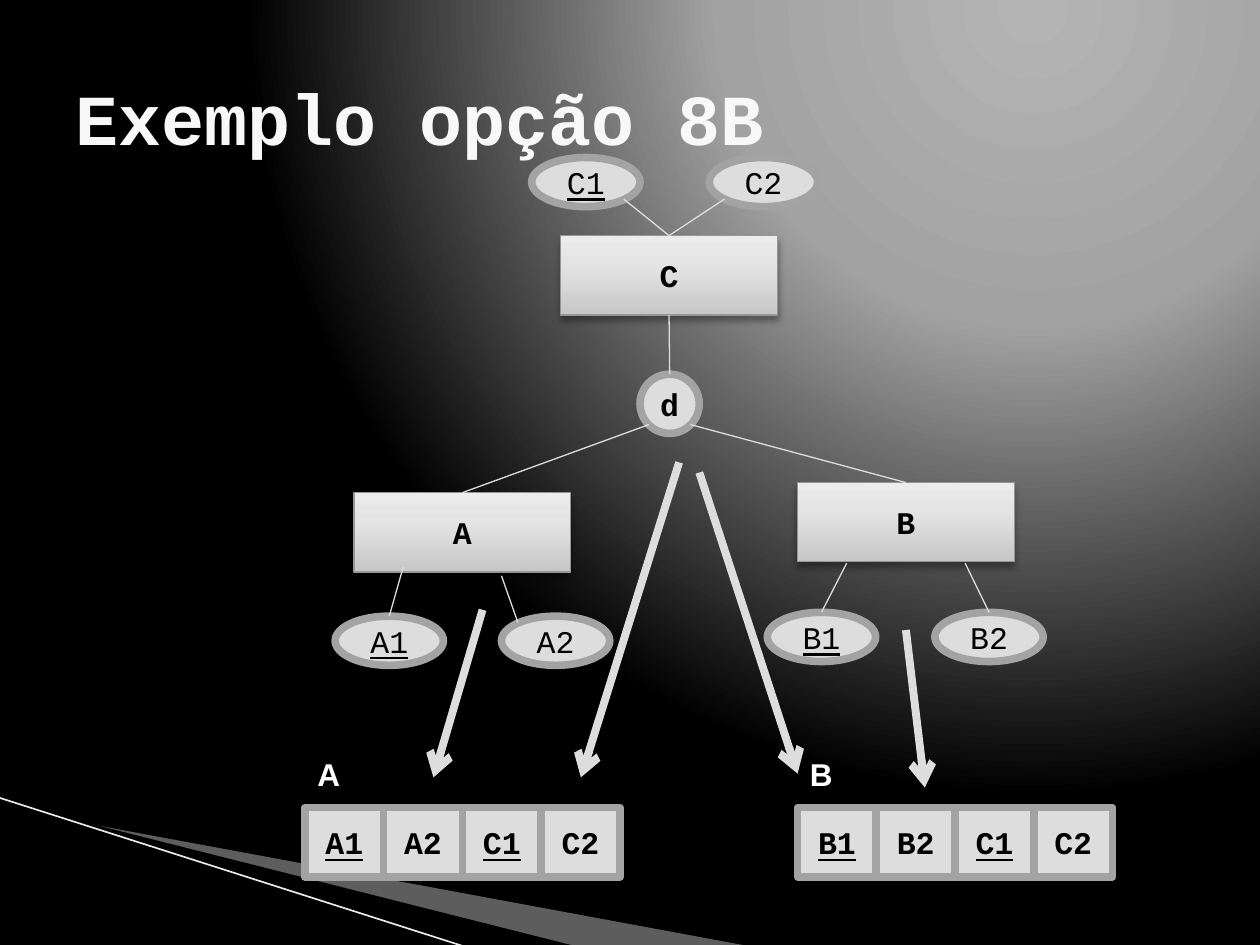
from lxml.etree import SubElement
from pptx import Presentation
from pptx.dml.color import RGBColor
from pptx.enum.shapes import MSO_CONNECTOR, MSO_SHAPE
from pptx.enum.text import MSO_ANCHOR, PP_ALIGN
from pptx.oxml import parse_xml
from pptx.oxml.ns import nsdecls, qn
from pptx.util import Inches, Pt

MONO, SANS = "Courier New", "Arial"
PALE, RING, BLACK = "DDDDDD", "A3A3A3", "000000"

BACKDROP = [(0, "B4B4B4"), (40, "A2A2A2"), (100, "000000")]
GLOW = ('<a:path path="circle"><a:fillToRect l="65000" t="0" r="0" b="98000"/>'
        '</a:path>')
BOX_SHADES = [(0, "C7C7C7"), (65, "E4E4E4"), (100, "ECECEC")]
UPWARD = '<a:lin ang="16200000" scaled="0"/>'

SWEEPS = [  # corner points, colour, opacity in percent
    ([(0.55, 6.51), (5.95, 7.51), (4.56, 7.51), (0.55, 6.5)], "EAEAEA", 40),
    ([(0.53, 6.49), (4.57, 7.51), (3.72, 7.52), (0.54, 6.5)], BLACK, 100),
]
SWEEP_EDGE = ((-0.01, 6.33), (3.71, 7.52))

ENTITY_SIZE, ATTRIBUTE_SIZE, CELL_SIZE = (1.72, 0.63), (0.86, 0.39), (0.625, 0.55)
ENTITIES = {"A": (2.81, 3.91), "B": (6.33, 3.83), "C": (4.45, 1.87)}
ATTRIBUTES = {"A1": (2.66, 4.89), "A2": (3.98, 4.89), "B1": (6.09, 4.86),
              "B2": (7.42, 4.86), "C1": (4.22, 1.25), "C2": (5.63, 1.25)}
KEYS = {"A1", "B1", "C1"}
DISJOINT, DISJOINT_AT, DISJOINT_SIZE = "d", (5.08, 2.97), (0.47, 0.47)

TOP, BOTTOM = 0, 2
LINKS = [  # each end is a point, or a node with its side
    ((5.15, 3.37), ("A", TOP)), ((5.48, 3.37), ("B", TOP)),
    (("A1", TOP), (3.2, 4.5)), ((4.11, 4.94), (3.98, 4.57)),
    (("B1", TOP), (6.72, 4.47)), (("B2", TOP), (7.66, 4.47)),
    ((4.95, 1.58), ("C", TOP)), ((5.75, 1.58), ("C", TOP)),
    (("C", BOTTOM), ("d", TOP)),
]
TABLES = [("A", 2.42, ["A1", "A2", "C1", "C2"]),
          ("B", 6.33, ["B1", "B2", "C1", "C2"])]
TABLE_TOP, NAME_TOP = 6.41, 5.94
MAPPINGS = [((3.83, 4.84), (3.44, 6.17)), ((7.19, 5), (7.34, 6.25)),
            ((5.39, 3.67), (4.61, 6.17)), ((5.55, 3.75), (6.33, 6.14))]


def rgb(colour):
    return RGBColor.from_string(colour)


def replace_with_gradient(old_fill, stops, direction):
    marks = "".join(f'<a:gs pos="{pos * 1000}"><a:srgbClr val="{colour}"/></a:gs>'
                    for pos, colour in stops)
    gradient = parse_xml(f'<a:gradFill {nsdecls("a")} rotWithShape="1">'
                         f'<a:gsLst>{marks}</a:gsLst>{direction}</a:gradFill>')
    old_fill.getparent().replace(old_fill, gradient)


def write(shape, text, font, size, colour, bold, underline=False):
    frame = shape.text_frame
    frame.text = text
    frame.word_wrap = False
    paragraph = frame.paragraphs[0]
    paragraph.font.name, paragraph.font.size = font, Pt(size)
    paragraph.font.bold, paragraph.font.underline = bold, underline
    paragraph.font.color.rgb = rgb(colour)
    return paragraph


def add_node(shapes, kind, text, at, size, bold=True,
             border=RING, border_width=4.33):
    node = shapes.add_shape(kind, *map(Inches, at + size))
    node.shadow.inherit = False
    node.fill.solid()
    node.fill.fore_color.rgb = rgb(PALE)
    node.line.color.rgb = rgb(border)
    node.line.width = Pt(border_width)
    label = write(node, text, MONO, 18, BLACK, bold, text in KEYS)
    label.alignment = PP_ALIGN.CENTER
    node.text_frame.vertical_anchor = MSO_ANCHOR.MIDDLE
    return node


def add_entity(shapes, name, at):
    """Add a shaded box with a soft shadow below it."""
    box = add_node(shapes, MSO_SHAPE.RECTANGLE, name, at, ENTITY_SIZE,
                   border="969696", border_width=0.75)
    properties = box.element.spPr
    replace_with_gradient(properties.find(qn("a:solidFill")), BOX_SHADES, UPWARD)
    properties.find(qn("a:effectLst")).append(parse_xml(
        f'<a:outerShdw {nsdecls("a")} blurRad="{Pt(4)}" dist="{Pt(3)}" '
        'dir="5400000" rotWithShape="0"><a:srgbClr val="000000">'
        '<a:alpha val="35000"/></a:srgbClr></a:outerShdw>'))
    return box


def add_line(shapes, start, end, colour=PALE, width=0.75, arrow=False):
    line = shapes.add_connector(MSO_CONNECTOR.STRAIGHT, *map(Inches, start + end))
    line.line.color.rgb = rgb(colour)
    line.line.width = Pt(width)
    if arrow:
        SubElement(line.line._get_or_add_ln(), qn("a:tailEnd"), type="arrow")
    SubElement(line.element.spPr, qn("a:effectLst"))
    return line


def add_link(shapes, nodes, start, end):
    """Join two ends, gluing those that name a node."""
    points = [(0, 0) if end_spec[0] in nodes else end_spec
              for end_spec in (start, end)]
    link = add_line(shapes, *points)
    for (owner, side), connect in ((start, link.begin_connect),
                                   (end, link.end_connect)):
        if owner in nodes:
            connect(nodes[owner], side)


def add_sweep(shapes, points, colour, opacity):
    first, *others = [tuple(map(Inches, point)) for point in points]
    builder = shapes.build_freeform(*first)
    builder.add_line_segments(others, close=True)
    sweep = builder.convert_to_shape()
    sweep.shadow.inherit = False
    sweep.fill.solid()
    sweep.fill.fore_color.rgb = rgb(colour)
    sweep.line.fill.background()
    if opacity < 100:
        tint = sweep.element.spPr.find(qn("a:solidFill"))[0]
        SubElement(tint, qn("a:alpha"), val=str(opacity * 1000))


def main():
    deck = Presentation()
    deck.slide_width, deck.slide_height = Inches(10), Inches(7.5)
    slide = deck.slides.add_slide(deck.slide_layouts[6])
    shapes = slide.shapes

    slide.background.fill.solid()
    replace_with_gradient(slide.element.find(".//" + qn("a:solidFill")),
                          BACKDROP, GLOW)
    for sweep in SWEEPS:
        add_sweep(shapes, *sweep)
    add_line(shapes, *SWEEP_EDGE, colour="E8E8E8", width=0.95)

    title = shapes.add_textbox(*map(Inches, (0.5, 0.3, 9, 1.25)))
    write(title, "Exemplo opção 8B", MONO, 41, "F8F8F8", bold=True)
    title.text_frame.word_wrap = True
    title.text_frame.vertical_anchor = MSO_ANCHOR.MIDDLE

    nodes = {name: add_entity(shapes, name, at) for name, at in ENTITIES.items()}
    for name, at in ATTRIBUTES.items():
        nodes[name] = add_node(shapes, MSO_SHAPE.OVAL, name, at,
                               ATTRIBUTE_SIZE, bold=False)
    nodes[DISJOINT] = add_node(shapes, MSO_SHAPE.OVAL, DISJOINT,
                               DISJOINT_AT, DISJOINT_SIZE)
    for start, end in LINKS:
        add_link(shapes, nodes, start, end)

    for name, left, columns in TABLES:
        caption = shapes.add_textbox(*map(Inches, (left, NAME_TOP, 0.38, 0.4)))
        write(caption, name, SANS, 18, "FFFFFF", bold=True)
        for index, column in enumerate(columns):
            add_node(shapes, MSO_SHAPE.RECTANGLE, column,
                     (left + index * CELL_SIZE[0], TABLE_TOP), CELL_SIZE)
    for start, end in MAPPINGS:
        add_line(shapes, start, end, width=4.5, arrow=True)

    deck.save("out.pptx")


if __name__ == "__main__":
    main()
